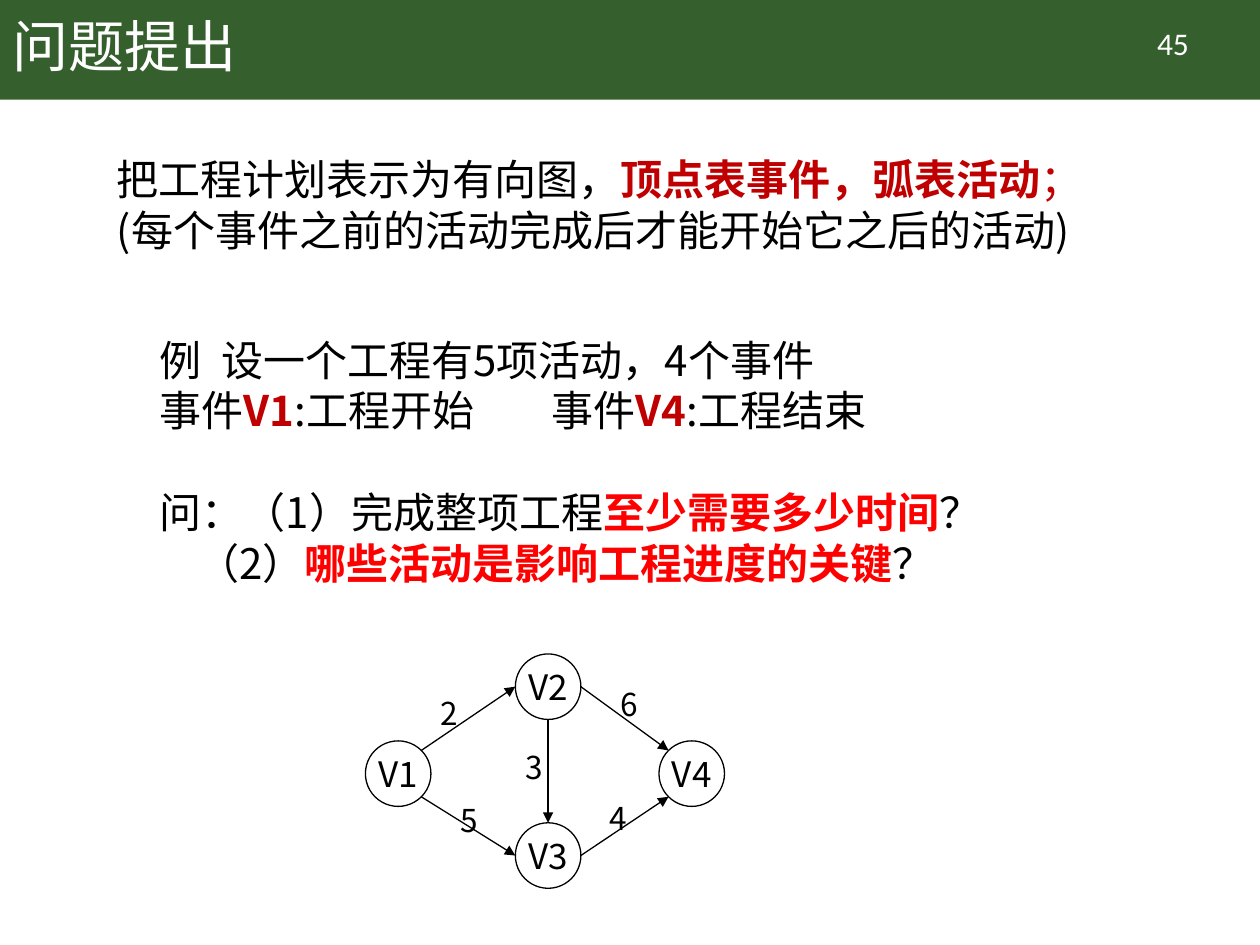
import math
from dataclasses import dataclass
import pptx
import pptx.util
import pptx.dml.color
import pptx.enum.shapes
import pptx.enum.text
import pptx.oxml
import pptx.oxml.ns
from lxml import etree

COLS, ROWS = 100, 75          # grid over the slide
WIDE, HIGH = pptx.util.Inches(10), pptx.util.Inches(7.5)
SANS, LATIN = "Noto Sans CJK SC", "Calibri"
BLACK, WHITE, GREEN, DARK, RED = "000000", "FFFFFF", "365F2E", "C00000", "FF0000"
ALIGN = pptx.enum.text.PP_ALIGN
ANCHOR = pptx.enum.text.MSO_ANCHOR
SHAPE = pptx.enum.shapes.MSO_SHAPE
R = 2.6                       # node radius in grid cells


@dataclass
class Node:
    name: str
    x: float
    y: float

    def rim(self, angle: float) -> tuple:
        turn = math.radians(angle)
        return self.x + R * math.cos(turn), self.y - R * math.sin(turn)


@dataclass
class Edge:
    start: str
    out: float                # angle where the arc leaves
    end: str
    into: float               # angle where the arc arrives
    cost: str
    x: float                  # label corner
    y: float


@dataclass
class Line:
    runs: list                # (text, colour) pairs; coloured text may be bold
    tabs: tuple = ()
    indent: float = 0
    before: float = 0


def col(n: float) -> int:
    return round(WIDE * n / COLS)


def row(n: float) -> int:
    return round(HIGH * n / ROWS)


def tint(code: str):
    return pptx.dml.color.RGBColor.from_string(code)


def write(frame, lines, size=24, font=SANS, color=BLACK, align=ALIGN.LEFT,
          anchor=ANCHOR.TOP, inset=None, pitch=None) -> None:
    """Fill a text frame; lines is a string or a list of Line."""
    if isinstance(lines, str):
        lines = [Line([(lines, color)])]
    frame.word_wrap = True
    frame.vertical_anchor = anchor
    if inset is not None:
        frame.margin_left = frame.margin_right = inset
        frame.margin_top = frame.margin_bottom = inset
    for i, line in enumerate(lines):
        para = frame.paragraphs[0] if i == 0 else frame.add_paragraph()
        para.alignment = align
        para.space_before = pptx.util.Pt(line.before)
        if pitch:
            para.line_spacing = pitch
        props = para._p.get_or_add_pPr()
        if line.indent:
            props.set("marL", str(col(line.indent)))
            props.set("indent", "0")
        if line.tabs:
            stops = etree.SubElement(props, pptx.oxml.ns.qn("a:tabLst"))
            for stop in line.tabs:
                etree.SubElement(stops, pptx.oxml.ns.qn("a:tab"),
                                 pos=str(col(stop)), algn="l")
        for text, shade in line.runs:
            run = para.add_run()
            run.text = text
            run.font.size = pptx.util.Pt(size)
            run.font.name = font
            run.font.bold = shade in (DARK, RED) and text != "；"
            run.font.color.rgb = tint(shade)
            east = etree.SubElement(run._r.get_or_add_rPr(), pptx.oxml.ns.qn("a:ea"))
            east.set("typeface", SANS)


def label(slide, x: float, y: float, w: float, h: float, lines, **form) -> None:
    box = slide.shapes.add_textbox(col(x), row(y), col(w), row(h))
    write(box.text_frame, lines, **form)


def shape(slide, kind, x: float, y: float, w: float, h: float, fill=None, line=None):
    item = slide.shapes.add_shape(kind, col(x), row(y), col(w), row(h))
    item.shadow.inherit = False
    if fill:
        item.fill.solid()
        item.fill.fore_color.rgb = tint(fill)
    else:
        item.fill.background()
    if line:
        item.line.color.rgb = tint(line)
        item.line.width = pptx.util.Pt(0.75)
    else:
        item.line.fill.background()
    return item


def arrow(slide, start: tuple, end: tuple) -> None:
    item = slide.shapes.add_connector(
        pptx.enum.shapes.MSO_CONNECTOR.STRAIGHT,
        col(start[0]), row(start[1]), col(end[0]), row(end[1]))
    item.line.color.rgb = tint(BLACK)
    item.line.width = pptx.util.Pt(0.75)
    etree.SubElement(item.line._get_or_add_ln(), pptx.oxml.ns.qn("a:tailEnd"), type="triangle")
    etree.SubElement(item._element.spPr, pptx.oxml.ns.qn("a:effectLst"))


INTRO = [
    Line([("把工程计划表示为有向图，", BLACK), ("顶点表事件，弧表活动", DARK), ("；", DARK)]),
    Line([("(每个事件之前的活动完成后才能开始它之后的活动)", BLACK)]),
]
TASK = [
    Line([("例\t设一个工程有5项活动，4个事件", BLACK)], tabs=(4.9,)),
    Line([("事件", BLACK), ("V1", DARK), (":工程开始\t事件", BLACK),
          ("V4", DARK), (":工程结束", BLACK)], tabs=(31.1,)),
    Line([("问：（1）完成整项工程", BLACK), ("至少需要多少时间", RED), ("？", BLACK)], before=29),
    Line([("（2）", BLACK), ("哪些活动是影响工程进度的关键", RED), ("？", BLACK)], indent=3),
]
NODES = [Node("V1", 31.6, 61.4), Node("V2", 43.5, 54.5),
         Node("V3", 43.5, 67.9), Node("V4", 54.9, 61.4)]
EDGES = [
    Edge("V1", 45, "V2", 180, "2", 34, 54.5),
    Edge("V1", -45, "V3", 180, "5", 35.6, 63),
    Edge("V2", 0, "V4", 135, "6", 48.3, 53.8),
    Edge("V3", 0, "V4", -135, "4", 47.4, 62.9),
    Edge("V2", -90, "V3", 90, "3", 40.7, 58.8),
]


def main() -> None:
    deck = pptx.Presentation()
    deck.slide_width, deck.slide_height = WIDE, HIGH
    slide = deck.slides.add_slide(deck.slide_layouts[5])

    # Header band, with the title in front of it
    band = shape(slide, SHAPE.RECTANGLE, 0, 0, COLS, 7.9, fill=GREEN)
    title = slide.shapes.title
    title._element.addprevious(band._element)
    title.left, title.top, title.width, title.height = 0, 0, col(86.2), row(7.9)
    write(title.text_frame, "问题提出", size=32, color=WHITE, anchor=ANCHOR.MIDDLE, pitch=0.9)
    label(slide, 87.1, 1.4, 12, 4, "45", size=18, font=LATIN, color=WHITE, align=ALIGN.CENTER)

    # Body text
    pitch = pptx.util.Pt(29)
    label(slide, 8.3, 11.7, 87.4, 9.1, INTRO, pitch=pitch)
    label(slide, 11.7, 26, 70, 21.2, TASK, pitch=pitch)

    # Graph: nodes, then arcs with their costs
    for node in NODES:
        disc = shape(slide, SHAPE.OVAL, node.x - R, node.y - R, 2 * R, 2 * R, line=BLACK)
        write(disc.text_frame, node.name, size=20, align=ALIGN.CENTER,
              anchor=ANCHOR.MIDDLE, inset=0)
    spot = {node.name: node for node in NODES}
    for edge in EDGES:
        arrow(slide, spot[edge.start].rim(edge.out), spot[edge.end].rim(edge.into))
    for edge in EDGES:
        label(slide, edge.x, edge.y, 4.9, 4, edge.cost, size=18, pitch=pptx.util.Pt(22))

    deck.save("out.pptx")


if __name__ == "__main__":
    main()
